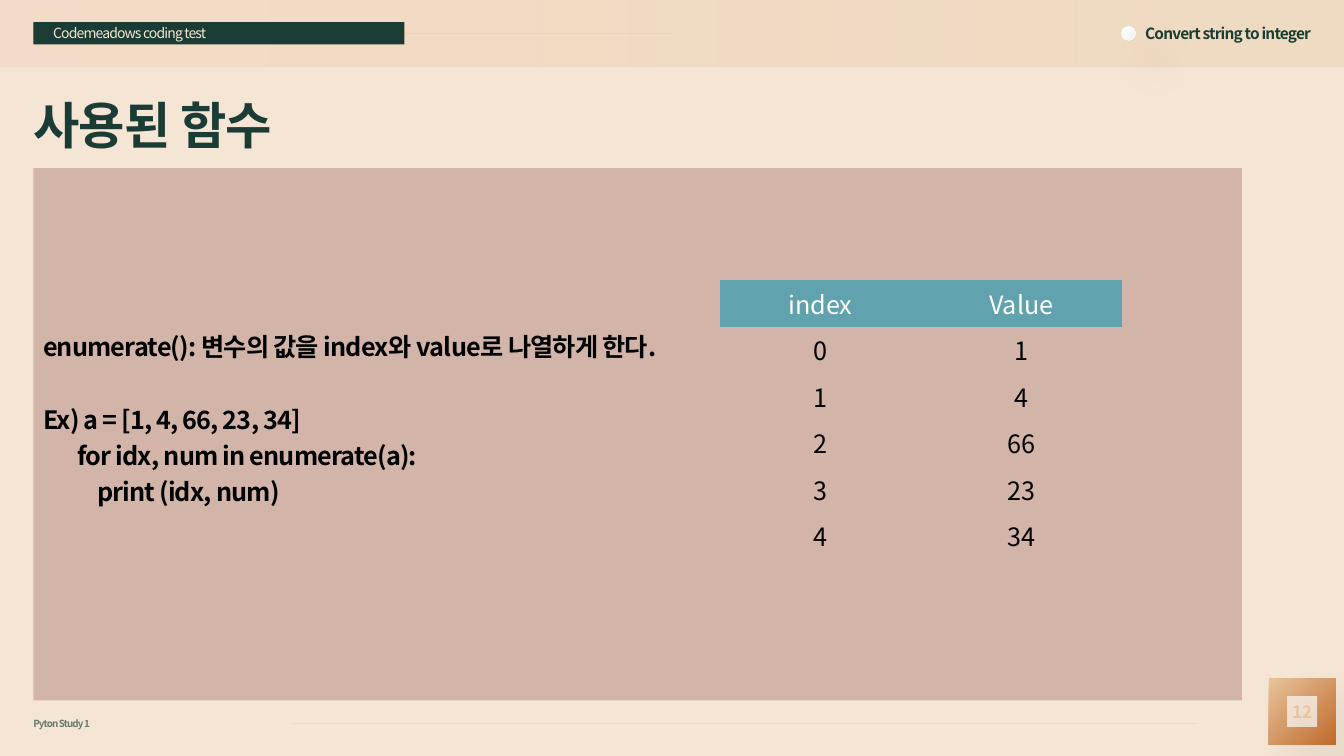
from lxml.etree import SubElement as sub
from pptx import Presentation
from pptx.dml.color import RGBColor as Rgb
from pptx.enum.shapes import MSO_CONNECTOR as Conn, MSO_SHAPE as Kind
from pptx.enum.text import MSO_ANCHOR as Anchor, PP_ALIGN as Align
from pptx.oxml.ns import qn
from pptx.util import Cm, Pt

FONT = "Noto Sans CJK KR"
PLAIN = "{2D5ABB26-0587-4C30-8999-92F81FD0307C}"  # table style without grid
HUES = {
    "cream": "F4E5D4", "green": "1B3C35", "pine": "1B3C33", "rose": "D2B4A9",
    "teal": "60A2AD", "sand": "E7C49D", "peach": "F3D5BB", "rust": "C16A2C",
    "rule": "E3AB83", "white": "FFFFFF", "pale": "F2F2F2", "black": "000000",
}
NOTES = [
    "enumerate(): 변수의 값을 index와 value로 나열하게 한다.",
    "Ex) a = [1, 4, 66, 23, 34]",
    "       for idx, num in enumerate(a):",
    "           print (idx, num)",
]
NUMS = [1, 4, 66, 23, 34]


def hue(name):
    return Rgb.from_string(HUES[name])


def fade(root, *rates):
    """Set the opacity, in percent, of each colour under root in turn."""
    for clr, rate in zip(root.iter(qn("a:srgbClr")), rates):
        sub(clr, qn("a:alpha")).set("val", str(rate * 1000))


def write(frame, lines, size, color, bold=False, align=Align.LEFT, space=1.0,
          track=-60, pads=(0, 0, 0, 0), gaps=None, alpha=None):
    """Fill a text frame; gaps maps a line number to its space before."""
    frame.word_wrap = True
    frame.vertical_anchor = Anchor.MIDDLE
    (frame.margin_left, frame.margin_top,
     frame.margin_right, frame.margin_bottom) = map(Cm, pads)
    for i, line in enumerate(lines):
        para = frame.add_paragraph() if i else frame.paragraphs[0]
        para.alignment = align
        para.line_spacing = space
        if gaps and i in gaps:
            para.space_before = Pt(gaps[i])
        run = para.add_run()
        run.text = line
        font = run.font
        font.name, font.size, font.bold = FONT, Pt(size), bold
        font.color.rgb = hue(color)
        props = run._r.get_or_add_rPr()
        if alpha:
            fade(props, alpha)
        if track:
            props.set("spc", str(track))
        sub(props, qn("a:ea")).set("typeface", FONT)


def block(slide, kind, box, *fills, angle=0):
    """Add a borderless shape with one fill colour or a two-colour blend."""
    shape = slide.shapes.add_shape(kind, *map(Cm, box))
    shape.shadow.inherit = False
    shape.line.fill.background()
    if len(fills) == 1:
        shape.fill.solid()
        shape.fill.fore_color.rgb = hue(fills[0])
    else:
        shape.fill.gradient()
        shape.fill.gradient_angle = angle
        for stop, name in zip(shape.fill.gradient_stops, fills):
            stop.color.rgb = hue(name)
    return shape


def shade(shape, rate):
    """Cast a soft shadow down to the right."""
    effects = shape._element.spPr.find(qn("a:effectLst"))
    cast = sub(effects, qn("a:outerShdw"), blurRad=str(Pt(30)),
               dist=str(Pt(26)), dir="2700000", algn="tl", rotWithShape="0")
    sub(cast, qn("a:srgbClr")).set("val", HUES["black"])
    fade(cast, rate)


def label(slide, box, text, size, color, **form):
    area = slide.shapes.add_textbox(*map(Cm, box))
    write(area.text_frame, [text], size, color, **form)


def rule(slide, left, right, top):
    line = slide.shapes.add_connector(
        Conn.STRAIGHT, Cm(left), Cm(top), Cm(right), Cm(top))
    line.line.color.rgb = hue("rule")
    line.line.width = Pt(0.5)
    props = line._element.spPr
    fade(props, 24)
    sub(props, qn("a:effectLst"))


def header(slide, x, y, w, h):
    band = block(slide, Kind.RECTANGLE, (x, y, w, h), "sand", "peach", angle=180)
    fade(band._element.spPr, 31, 50)
    mid = y + h / 2
    rule(slide, x + 10.19, x + w / 2, mid)
    tag = block(slide, Kind.RECTANGLE, (x + 0.84, mid - 0.28, 9.35, 0.56), "green")
    write(tag.text_frame, ["Codemeadows coding test"], 10, "cream",
          pads=(0.5, 0.13, 0.5, 0.13))
    label(slide, (x + w / 2, mid - 0.33, 16.1, 0.56), "Convert string to integer",
          11, "pine", bold=True, align=Align.RIGHT, space=1.2)
    dot = block(slide, Kind.OVAL, (x + 28.26, mid - 0.18, 0.36, 0.36),
                "white", "pale", angle=315)
    shade(dot, 17)


def panel(slide, x, y, w, h):
    back = block(slide, Kind.RECTANGLE, (x, y, w, h), "rose")
    write(back.text_frame, NOTES, 18, "black", bold=True, space=1.2,
          pads=(0.25, 0.13, 0.25, 1.04), gaps={1: 26})
    grid(slide, x + 17.3, y + 2.82, 10.13, 7.02)


def grid(slide, x, y, w, h):
    rows = [("index", "Value"), *enumerate(NUMS)]
    frame = slide.shapes.add_table(len(rows), 2, *map(Cm, (x, y, w, h)))
    table = frame.table
    table.horz_banding = False
    next(frame._element.iter(qn("a:tableStyleId"))).text = PLAIN
    for r, row in enumerate(rows):
        for c, value in enumerate(row):
            cell = table.cell(r, c)
            cell.vertical_anchor = Anchor.MIDDLE
            if r:
                cell.fill.background()
            else:
                cell.fill.solid()
                cell.fill.fore_color.rgb = hue("teal")
            write(cell.text_frame, [str(value)], 18, "black" if r else "white",
                  align=Align.CENTER, track=0)


def footer(slide, x, y, w, h):
    mid = y + h / 2
    label(slide, (x, mid - 0.4, 5.97, 0.8), "Pyton Study 1", 7, "pine",
          bold=True, space=1.2, alpha=64)
    rule(slide, x + 6.55, x + 29.33, mid + 0.02)
    side = 1.68
    spot = (x + w - side, y + h - side, side, side)
    badge = block(slide, Kind.FRAME, spot, "sand", "rust", angle=315)
    badge.adjustments[0] = 0.265
    shade(badge, 8)
    label(slide, spot, "12", 12, "sand", bold=True, align=Align.CENTER, track=0)


def main():
    deck = Presentation()
    deck.slide_width, deck.slide_height = Cm(33.87), Cm(19.05)
    slide = deck.slides.add_slide(deck.slide_layouts[6])
    slide.background.fill.solid()
    slide.background.fill.fore_color.rgb = hue("cream")
    header(slide, 0, 0, 33.87, 1.68)
    label(slide, (0.84, 2.34, 25.35, 1.57), "사용된 함수", 36, "green", bold=True)
    panel(slide, 0.84, 4.24, 30.46, 13.41)
    footer(slide, 0.84, 17.65, 32.82, 1.12)
    deck.save("out.pptx")


if __name__ == "__main__":
    main()
